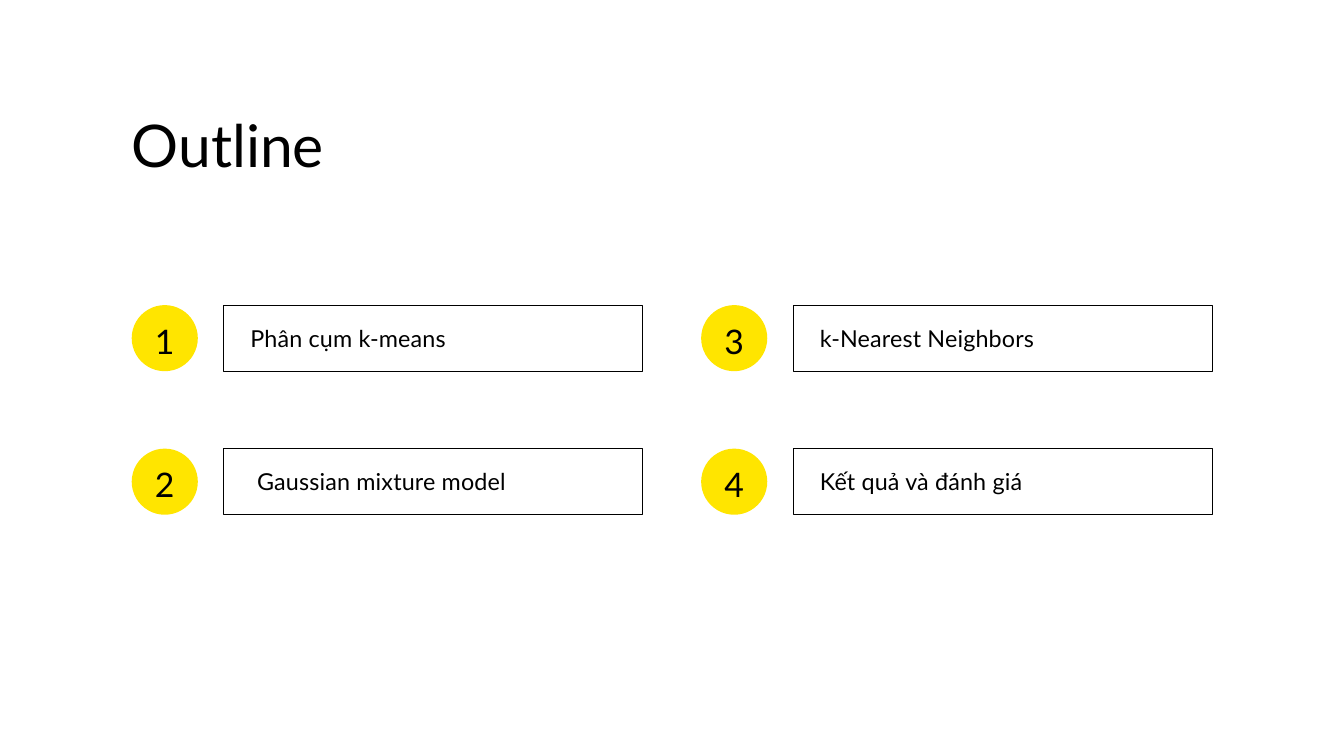
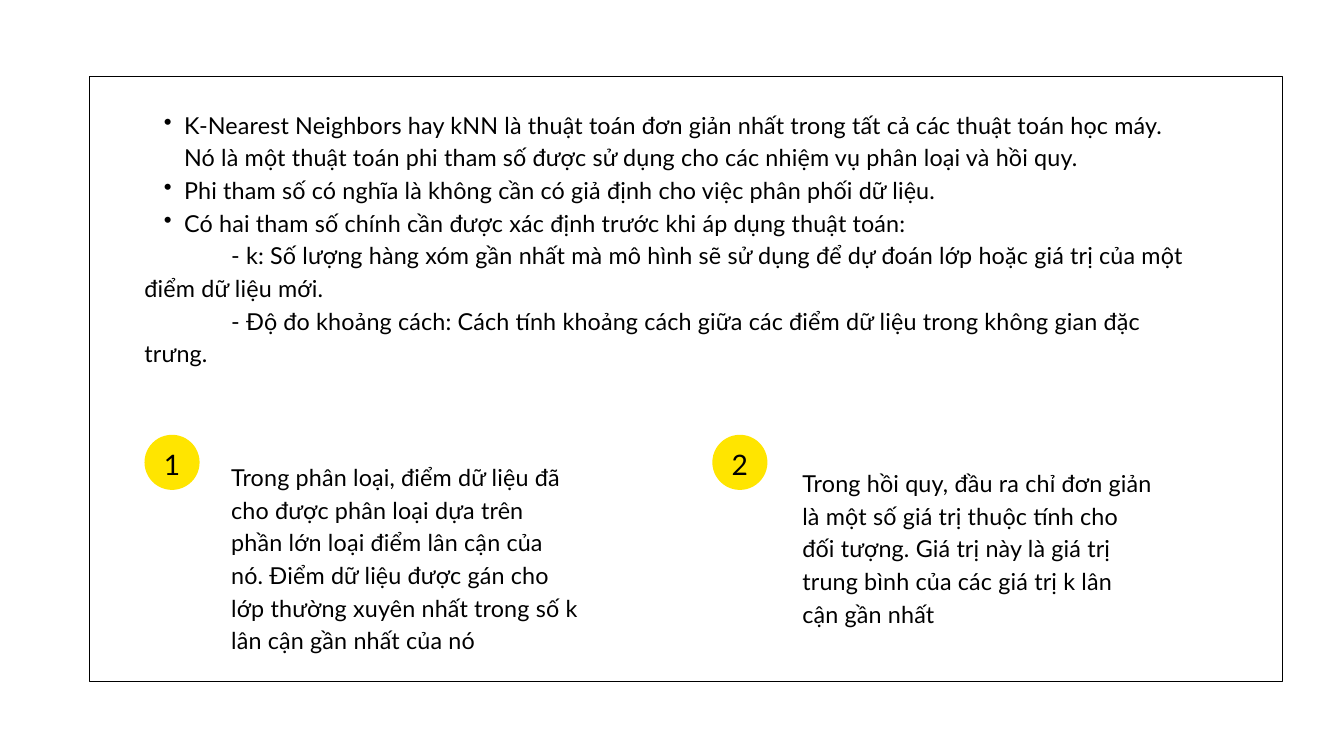
import pptx
import pptx.dml.color
import pptx.enum.shapes
import pptx.enum.text
import pptx.util
import lxml.etree

BLACK = pptx.dml.color.RGBColor(0x00, 0x00, 0x00)
YELLOW = pptx.dml.color.RGBColor(0xFF, 0xE5, 0x00)
FONT = "Lato"
BODY_SIZE, BODY_LINE = 25, 35
LEFT = pptx.enum.text.PP_ALIGN.LEFT
CENTER = pptx.enum.text.PP_ALIGN.CENTER
OVAL = pptx.enum.shapes.MSO_SHAPE.OVAL
RECTANGLE = pptx.enum.shapes.MSO_SHAPE.RECTANGLE

deck = pptx.Presentation()
deck.slide_width = pptx.util.Inches(20)
deck.slide_height = pptx.util.Inches(11.25)
UNIT = deck.slide_width / 100


def cells(*counts):
    return [round(count * UNIT) for count in counts]


def write(slide, box, lines, size=BODY_SIZE, spacing=BODY_LINE, align=LEFT, tracking=20):
    frame = slide.shapes.add_textbox(*cells(*box)).text_frame
    frame.word_wrap = True
    frame.margin_left = frame.margin_right = frame.margin_top = frame.margin_bottom = 0
    for number, (text, margin, indent, bullet) in enumerate(lines):
        paragraph = frame.add_paragraph() if number else frame.paragraphs[0]
        paragraph.alignment = align
        paragraph.line_spacing = pptx.util.Pt(spacing)
        properties = paragraph._p.get_or_add_pPr()
        properties.set("marL", str(cells(margin)[0]))
        properties.set("indent", str(cells(indent)[0]))
        if bullet:
            mark = lxml.etree.SubElement(properties, pptx.oxml.ns.qn("a:buChar"))
            mark.set("char", bullet)
        run = paragraph.add_run()
        run.text = text
        run.font.name = FONT
        run.font.size = pptx.util.Pt(size)
        run.font.color.rgb = BLACK
        run.font._element.set("spc", str(tracking))


outline = deck.slides.add_slide(deck.slide_layouts[6])
neighbors = deck.slides.add_slide(deck.slide_layouts[6])
frames = [(neighbors, (6.65, 5.65, 88.75, 45.03))]
badges = []

write(outline, (9.8, 8.55, 47.3, 4.95), [("Outline", 0, 0, None)], 63, 69.3, tracking=0)
topics = [
    ("Phân cụm k-means", 0),
    ("Gaussian mixture model", 0.5),
    ("k-Nearest Neighbors", 0),
    ("Kết quả và đánh giá", 0),
]
for index, (topic, indent) in enumerate(topics):
    column, row = divmod(index, 2)
    left, top = 9.8 + 42.37 * column, 22.7 + 10.68 * row
    badges.append((outline, left, top, 4.92, 36.2, 50.7, index + 1))
    frames.append((outline, (left + 6.85, top, 31.17, 4.92)))
    write(outline, (left + 8.83, top + 1.05, 27.05, 2.45), [(topic, 0, indent, None)])

facts = [
    "K-Nearest Neighbors hay kNN là thuật toán đơn giản nhất trong tất cả các thuật toán học máy. "
    "Nó là một thuật toán phi tham số được sử dụng cho các nhiệm vụ phân loại và hồi quy.",
    "Phi tham số có nghĩa là không cần có giả định cho việc phân phối dữ liệu.",
    "Có hai tham số chính cần được xác định trước khi áp dụng thuật toán:",
]
parameters = [
    "- k: Số lượng hàng xóm gần nhất mà mô hình sẽ sử dụng để dự đoán lớp hoặc giá trị "
    "của một điểm dữ liệu mới.",
    "- Độ đo khoảng cách: Cách tính khoảng cách giữa các điểm dữ liệu trong không gian đặc trưng.",
]
write(
    neighbors,
    (10.75, 7.9, 78.5, 21.8),
    [(fact, 2.95, -1.5, "•") for fact in facts]
    + [(parameter, 0, 6.45, None) for parameter in parameters],
)

uses = [
    ((17.2, 34.1, 25.9, 14.45),
     "Trong phân loại, điểm dữ liệu đã cho được phân loại dựa trên phần lớn loại điểm lân cận "
     "của nó. Điểm dữ liệu được gán cho lớp thường xuyên nhất trong số k lân cận gần nhất của nó"),
    ((59.7, 34.55, 26.2, 12.05),
     "Trong hồi quy, đầu ra chỉ đơn giản là một số giá trị thuộc tính cho đối tượng. "
     "Giá trị này là giá trị trung bình của các giá trị k lân cận gần nhất"),
]
for index, (box, use) in enumerate(uses):
    badges.append((neighbors, 10.75 + 42.25 * index, 32.35, 4.1, 30.2, 42.2, index + 1))
    write(neighbors, box, [(use, 0, 0, None)])

for slide, box in frames:
    border = slide.shapes.add_shape(RECTANGLE, *cells(*box))
    border.shadow.inherit = False
    border.fill.background()
    border.line.color.rgb = BLACK
    border.line.width = pptx.util.Pt(0.75)

for slide, left, top, diameter, size, spacing, number in badges:
    disc = slide.shapes.add_shape(OVAL, *cells(left, top, diameter, diameter))
    disc.shadow.inherit = False
    disc.fill.solid()
    disc.fill.fore_color.rgb = YELLOW
    disc.line.fill.background()
    label = (left + 0.2 * diameter, top + 0.13 * diameter, 0.6 * diameter, 0.68 * diameter)
    write(slide, label, [(str(number), 0, 0, None)], size, spacing, CENTER, 0)

deck.save("out.pptx")
